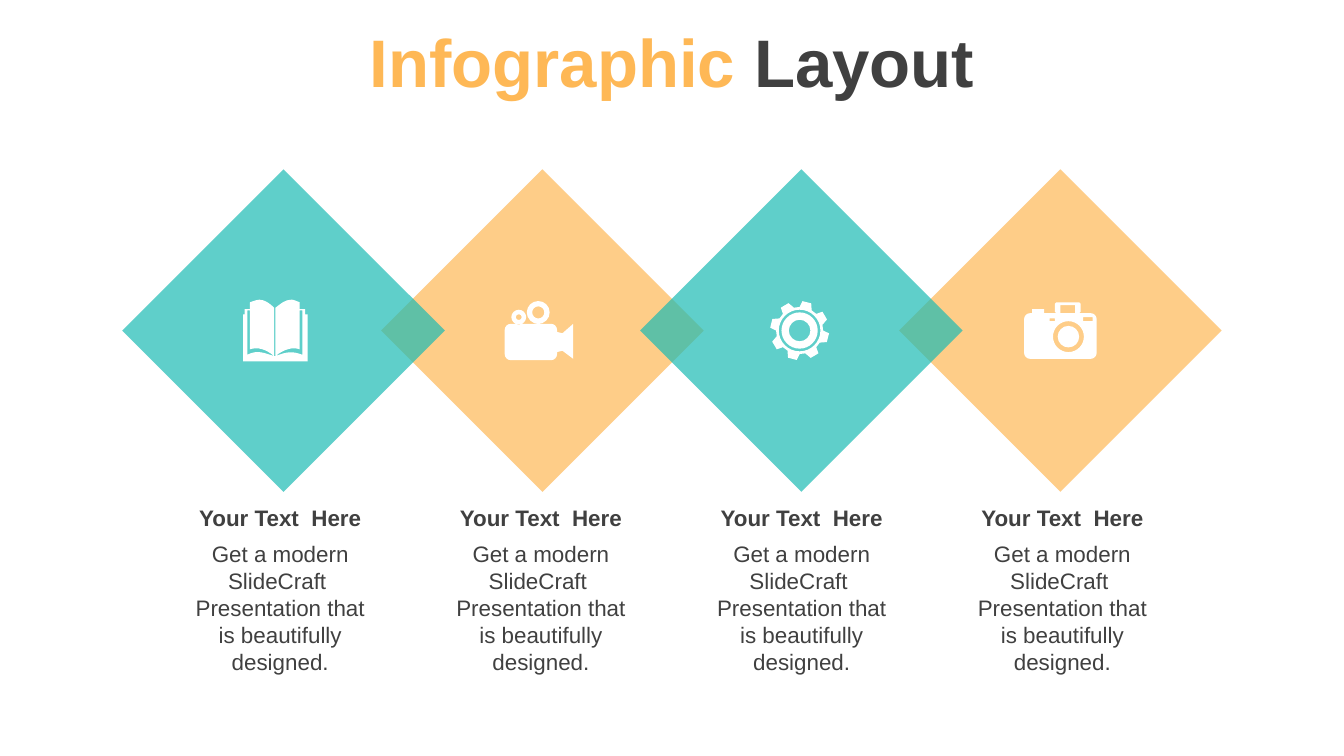
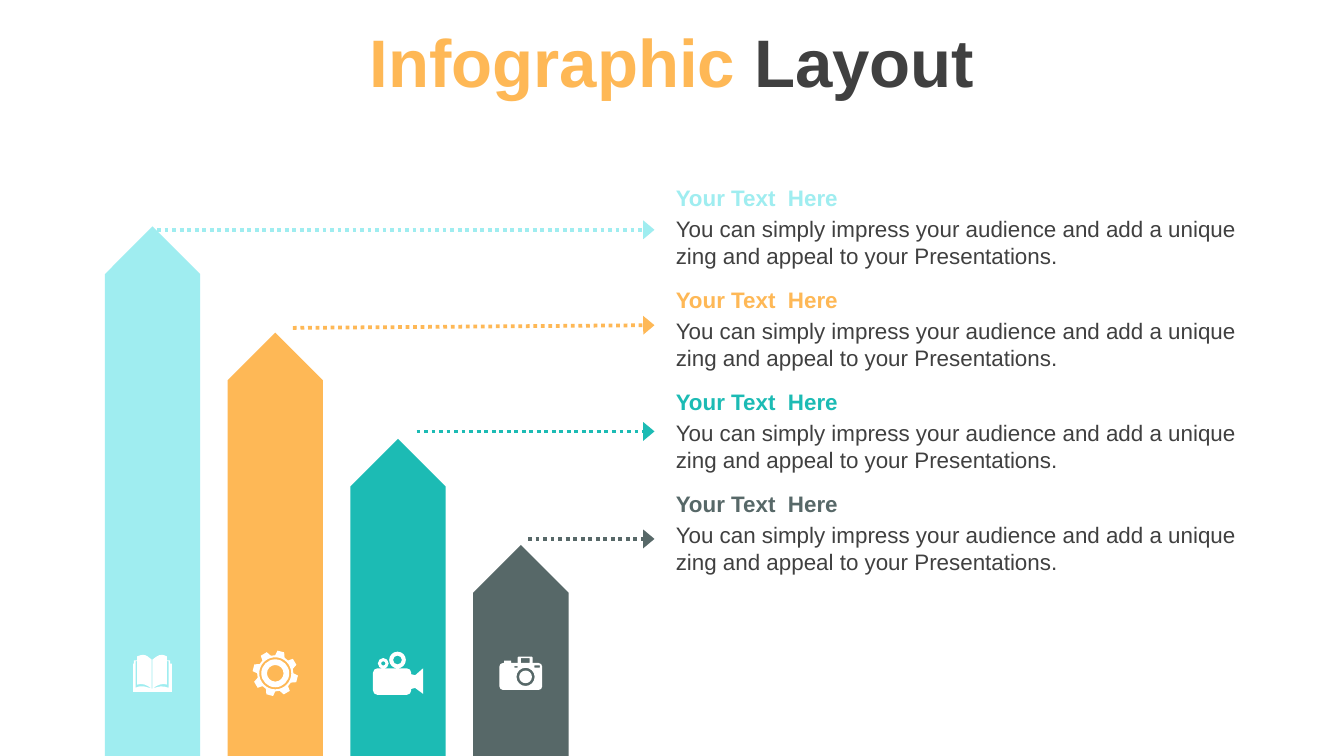
"""Build two infographic slides: overlapping diamonds and descending arrow bars."""
from dataclasses import dataclass
from math import cos, radians, sin

from lxml.etree import SubElement
from pptx import Presentation
from pptx.dml.color import RGBColor
from pptx.enum.dml import MSO_LINE
from pptx.enum.shapes import MSO_CONNECTOR, MSO_SHAPE
from pptx.enum.text import MSO_ANCHOR, MSO_AUTO_SIZE, PP_ALIGN
from pptx.oxml.ns import qn
from pptx.util import Inches, Pt


@dataclass(frozen=True)
class Theme:
    font: str = "Arial"
    ink: str = "404040"
    white: str = "FFFFFF"
    orange: str = "FEB856"
    teal: str = "1CBBB4"
    aqua: str = "9FEDF0"
    slate: str = "576868"
    title_size: int = 36
    text_size: int = 12
    line_width: int = 2
    diamond_opacity: int = 70


THEME = Theme()

TITLE = [("Infographic ", THEME.orange), ("Layout", THEME.ink)]
HEADING = "Your Text  Here"
DIAMOND_TEXT = "Get a modern SlideCraft  Presentation that is beautifully designed."
BAR_TEXT = "You can simply impress your audience and add a unique zing and appeal to your Presentations."

DIAMONDS = [
    {"color": THEME.teal, "icon": "book", "icon_x": 2.05},
    {"color": THEME.orange, "icon": "video", "icon_x": 4.01},
    {"color": THEME.teal, "icon": "gear", "icon_x": 5.95},
    {"color": THEME.orange, "icon": "camera", "icon_x": 7.89},
]
DIAMOND_STACK = (1, 3, 2, 0)

BARS = [
    {"color": THEME.aqua, "icon": "book", "scale": 0.6, "arrow": (1.17, 1.71, 1.71)},
    {"color": THEME.orange, "icon": "gear", "scale": 0.77, "arrow": (2.18, 2.44, 2.42)},
    {"color": THEME.teal, "icon": "video", "scale": 0.73, "arrow": (3.1, 3.21, 3.21)},
    {"color": THEME.slate, "icon": "camera", "scale": 0.59, "arrow": (3.93, 4.01, 4.01)},
]

BOOK_OUTLINE = [
    (23, 42), (24, 42), (32, 39, 36, 38, 44, 41), (44, 8), (42, 8), (42, 37),
    (37, 35, 30, 37, 24, 42), (24, 6), (28, 3, 31, 0, 36, 0), (37, 0, 40, 1, 42, 2),
    (42, 7), (46, 7), (46, 11), (48, 11), (48, 46), (0, 46), (0, 11), (1, 11),
    (1, 7), (5, 7), (5, 2), (8, 1, 10, 0, 12, 0), (16, 0, 20, 3, 23, 6), (23, 42),
    (17, 37, 11, 35, 5, 37), (5, 8), (3, 8), (3, 41), (11, 37, 16, 40, 23, 42),
]
VIDEO_HORN = [(39, 23), (43, 24), (51, 17), (51, 43), (43, 37), (39, 38)]
DIRECTIONS = [(1, 0), (0, 1), (-1, 0), (0, -1)]


def quarter(center_x, center_y, radius, index):
    """Return the start point and the curve of one quarter of a circle."""
    (ax, ay), (bx, by) = DIRECTIONS[index], DIRECTIONS[(index + 1) % 4]
    weights = [(1, 0), (1, 0.55), (0.55, 1), (0, 1)]
    values = [value for a, b in weights
              for value in (center_x + radius * (a * ax + b * bx),
                            center_y + radius * (a * ay + b * by))]
    return [tuple(values[:2]), tuple(values[2:])]


def circle(center_x, center_y, radius):
    """Return a circle made of four curves."""
    quarters = [quarter(center_x, center_y, radius, index) for index in range(4)]
    return [quarters[0][0]] + [curve for _, curve in quarters]


def box(left, top, width, height, radius=0):
    """Return a rectangle outline, with rounded corners when a radius is given."""
    right, bottom = left + width - radius, top + height - radius
    left, top = left + radius, top + radius
    corners = [(right, bottom), (left, bottom), (left, top), (right, top)]
    if not radius:
        return corners
    return [item for index, (x, y) in enumerate(corners)
            for item in quarter(x, y, radius, index)]


def gear_outline(teeth=8):
    """Return the toothed rim of the gear."""
    profile = [(0, 17.5), (5.5, 22), (23, 22), (31, 17.5)]
    return [(22 + radius * sin(radians(angle + 360 / teeth * tooth)),
             22 - radius * cos(radians(angle + 360 / teeth * tooth)))
            for tooth in range(teeth) for angle, radius in profile]


ICONS = {
    "book": (48, 46, [BOOK_OUTLINE]),
    "video": (51, 44, [box(0, 17, 39, 27, 4.5), VIDEO_HORN,
                       circle(25, 8.5, 8.5), circle(25, 8.5, 4.5),
                       circle(10.5, 12, 5.5), circle(10.5, 12, 2.2)]),
    "gear": (44, 44, [gear_outline(), circle(22, 22, 15.5),
                      circle(22, 22, 13.5), circle(22, 22, 8)]),
    "camera": (54, 42, [box(0, 8, 54, 34, 4.5), circle(33, 25.5, 11.5), circle(33, 25.5, 8),
                        box(19, 12, 4, 2), box(44, 11, 7, 3),
                        box(23, 0, 19, 8, 1), box(27, 2, 11, 6), box(6, 5, 9, 3)]),
}


def paint(shape, color):
    """Give a shape a flat fill without line or shadow."""
    shape.shadow.inherit = False
    shape.fill.solid()
    shape.fill.fore_color.rgb = RGBColor.from_string(color)
    shape.line.fill.background()


def add_run(paragraph, text, color, size, bold):
    """Append a formatted run."""
    run = paragraph.add_run()
    run.text = text
    values = {"name": THEME.font, "size": Pt(size), "bold": bold}
    for name, value in values.items():
        setattr(run.font, name, value)
    run.font.color.rgb = RGBColor.from_string(color)


def add_titled_slide(presentation):
    """Add a slide with the shared two-colour title."""
    slide = presentation.slides.add_slide(presentation.slide_layouts[5])
    title = slide.shapes.title
    place = {"left": 0, "top": Inches(0.03),
             "width": presentation.slide_width, "height": Inches(0.85)}
    for name, value in place.items():
        setattr(title, name, value)
    title.text_frame.vertical_anchor = MSO_ANCHOR.MIDDLE
    paragraph = title.text_frame.paragraphs[0]
    paragraph.alignment = PP_ALIGN.CENTER
    for text, color in TITLE:
        add_run(paragraph, text, color, THEME.title_size, True)
    return slide


def add_caption(slide, left, top, width, body, body_offset, body_height, color, alignment):
    """Add a group of a bold heading and the body text below it."""
    group = slide.shapes.add_group_shape()
    parts = [(body, body_offset, body_height, THEME.ink, False), (HEADING, 0, 0.3, color, True)]
    for text, offset, height, text_color, bold in parts:
        text_box = group.shapes.add_textbox(
            Inches(left), Inches(top + offset), Inches(width), Inches(height))
        frame = text_box.text_frame
        frame.word_wrap = True
        frame.auto_size = MSO_AUTO_SIZE.SHAPE_TO_FIT_TEXT
        paragraph = frame.paragraphs[0]
        paragraph.alignment = alignment
        add_run(paragraph, text, text_color, THEME.text_size, bold)


def add_icon(slide, name, center_x, center_y, scale=1):
    """Draw a white icon, given in hundredths of an inch, around a centre."""
    width, height, contours = ICONS[name]

    def position(x, y):
        return (Inches(center_x + (x - width / 2) * scale / 100),
                Inches(center_y + (y - height / 2) * scale / 100))

    builder = None
    for contour in contours:
        start, *rest = [position(*item[-2:]) for item in contour]
        if builder is None:
            builder = slide.shapes.build_freeform(*start)
        else:
            builder.move_to(*start)
        builder.add_line_segments(rest, close=True)
    icon = builder.convert_to_shape()
    paint(icon, THEME.white)

    outline = icon._element.spPr.find(".//" + qn("a:path"))
    segments = [segment for segment in outline if segment.tag != qn("a:close")]
    items = [item for contour in contours for item in contour]
    for segment, item in zip(segments, items):
        if len(item) == 2:
            continue
        segment.clear()
        segment.tag = qn("a:cubicBezTo")
        for index in (0, 2, 4):
            x, y = position(*item[index:index + 2])
            SubElement(segment, qn("a:pt"), x=str(x - icon.left), y=str(y - icon.top))


def add_arrow(slide, start_x, start_y, end_x, end_y, color):
    """Add a dotted line that ends in a wide triangle."""
    connector = slide.shapes.add_connector(
        MSO_CONNECTOR.STRAIGHT, Inches(start_x), Inches(start_y), Inches(end_x), Inches(end_y))
    connector.line.color.rgb = RGBColor.from_string(color)
    connector.line.width = Pt(THEME.line_width)
    connector.line.dash_style = MSO_LINE.ROUND_DOT
    properties = connector._element.spPr
    SubElement(properties.find(qn("a:ln")), qn("a:tailEnd"), type="triangle", w="lg", len="med")
    SubElement(properties, qn("a:effectLst"))


def build_diamond_slide(presentation):
    """Build the row of overlapping diamonds."""
    slide = add_titled_slide(presentation)
    size, top, step = 2.4, 1.26, 5.78 / 3
    for index in DIAMOND_STACK:
        diamond = slide.shapes.add_shape(
            MSO_SHAPE.DIAMOND, Inches(0.91 + step * index), Inches(top), Inches(size), Inches(size))
        paint(diamond, DIAMONDS[index]["color"])
        color = diamond._element.spPr.find(qn("a:solidFill"))[0]
        SubElement(color, qn("a:alpha"), val=str(THEME.diamond_opacity * 1000))
    for index, item in enumerate(DIAMONDS):
        add_caption(slide, 1.29 + 1.94 * index, 3.7, 1.59, DIAMOND_TEXT, 0.27, 1.11,
                    THEME.ink, PP_ALIGN.CENTER)
    for item in DIAMONDS:
        add_icon(slide, item["icon"], item["icon_x"], top + size / 2)


def build_bar_slide(presentation):
    """Build the descending bars with their arrows and captions."""
    slide = add_titled_slide(presentation)
    bottom, thickness, step = presentation.slide_height, 0.71, 2.74 / 3
    centers = [0.78 + thickness / 2 + step * index for index in range(len(BARS))]
    for index, (item, center_x) in enumerate(zip(BARS, centers)):
        length = Inches(3.94 - 0.79 * index)
        bar = slide.shapes.add_shape(
            MSO_SHAPE.PENTAGON, Inches(center_x) - length // 2,
            bottom - length // 2 - Inches(thickness) // 2, length, Inches(thickness))
        bar.rotation = 270
        paint(bar, item["color"])
    for item, center_x in zip(BARS, centers):
        add_icon(slide, item["icon"], center_x, 5.01, item["scale"])
    for index, item in enumerate(BARS):
        add_caption(slide, 4.93, 1.32 + 0.76 * index, 4.4, BAR_TEXT, 0.23, 0.5,
                    item["color"], PP_ALIGN.LEFT)
    for item in reversed(BARS):
        start_x, start_y, end_y = item["arrow"]
        add_arrow(slide, start_x, start_y, 4.87, end_y, item["color"])


def main():
    """Create and save the presentation."""
    presentation = Presentation()
    presentation.slide_width = Inches(10)
    presentation.slide_height = Inches(10) * 9 // 16
    build_diamond_slide(presentation)
    build_bar_slide(presentation)
    presentation.save("out.pptx")


if __name__ == "__main__":
    main()
